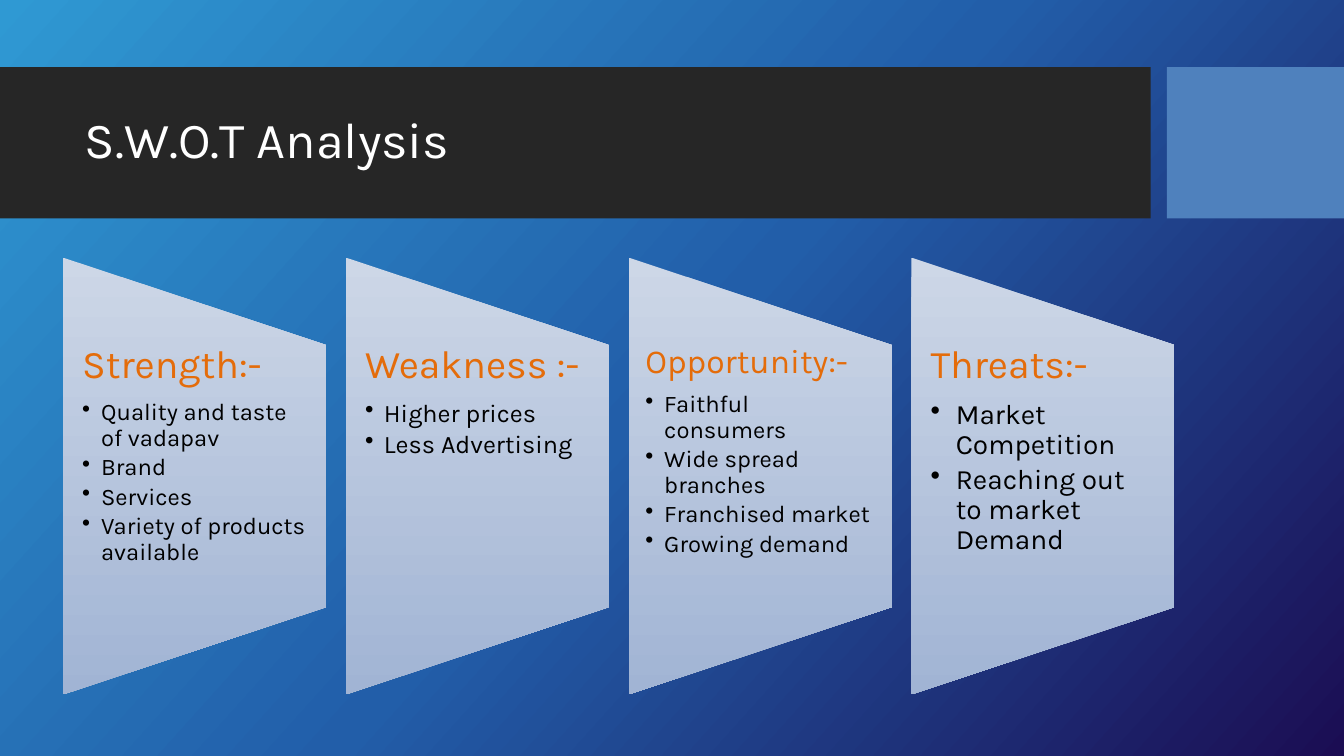
from dataclasses import dataclass

from lxml import etree
from pptx import Presentation
from pptx.dml.color import RGBColor
from pptx.dml.fill import FillFormat
from pptx.enum.shapes import MSO_SHAPE
from pptx.enum.text import MSO_ANCHOR
from pptx.oxml.ns import qn
from pptx.slide import Slide
from pptx.text.text import TextFrame
from pptx.util import Pt

FONT = "Karla"
WHITE, BLACK, ORANGE = "FFFFFF", "000000", "E46C0A"
LINE_SPACING = 0.9

PANEL_LEFT, PANEL_PITCH, PANEL_WIDTH = 45, 202, 188
PANEL_HEIGHT, PANEL_MIDDLE = 312, 340
TEXT_TOP, TEXT_HEIGHT = 246, 187


@dataclass(frozen=True)
class Panel:
    heading: str
    points: tuple[str, ...]
    heading_size: float = 28
    point_size: float = 17
    inset: float = 13.75
    indent: float = 13.5


PANELS = (
    Panel("Strength:-", ("Quality and taste of vadapav", "Brand", "Services",
                         "Variety of products available")),
    Panel("Weakness :-", ("Higher prices", "Less Advertising"), point_size=18),
    Panel("Opportunity:-", ("Faithful consumers", "Wide spread branches",
                            "Franchised market", "Growing demand"),
          heading_size=24, inset=12),
    Panel("Threats:-", ("Market Competition", "Reaching out to market Demand"),
          point_size=20, indent=18),
)


def color(value: str) -> RGBColor:
    return RGBColor.from_string(value)


def fill_gradient(fill: FillFormat, owner: etree._Element,
                  stops: dict[int, str], angle: float) -> None:
    """Fill with stops (percent to colour) along a clockwise angle fixed to the slide."""
    fill.gradient()
    fill.gradient_angle = 360 - angle
    gradient = next(owner.iter(qn("a:gradFill")))
    gradient.set("rotWithShape", "0")
    stop_list = gradient.find(qn("a:gsLst"))
    for old_stop in list(stop_list):
        stop_list.remove(old_stop)
    for percent, value in stops.items():
        stop = etree.SubElement(stop_list, qn("a:gs"), pos=str(percent * 1000))
        etree.SubElement(stop, qn("a:srgbClr"), val=value)


def add_plain_shape(slide: Slide, kind: MSO_SHAPE, left: float, top: float,
                    width: float, height: float, fill: str | None = None):
    shape = slide.shapes.add_shape(kind, Pt(left), Pt(top), Pt(width), Pt(height))
    shape.shadow.inherit = False
    shape.line.fill.background()
    if fill:
        shape.fill.solid()
        shape.fill.fore_color.rgb = color(fill)
    return shape


def add_text_box(slide: Slide, left: float, top: float, width: float, height: float,
                 *, inset: float, inset_y: float = 0,
                 anchor: MSO_ANCHOR = MSO_ANCHOR.TOP) -> TextFrame:
    box = slide.shapes.add_textbox(Pt(left), Pt(top), Pt(width), Pt(height))
    frame = box.text_frame
    frame.word_wrap = True
    frame.vertical_anchor = anchor
    frame.margin_left = frame.margin_right = Pt(inset)
    frame.margin_top = frame.margin_bottom = Pt(inset_y)
    return frame


def write(frame: TextFrame, text: str, *, size: float, fill: str,
          space_after: float = 0, indent: float = 0) -> None:
    """Add a paragraph; an indent makes it a bullet."""
    first = frame.paragraphs[0]
    paragraph = frame.add_paragraph() if first.runs else first
    if indent:
        paragraph.level = 1
        properties = paragraph._p.get_or_add_pPr()
        properties.set("marL", str(Pt(indent)))
        properties.set("indent", str(-Pt(indent)))
        etree.SubElement(properties, qn("a:buChar"), char="•")
    paragraph.line_spacing = LINE_SPACING
    paragraph.space_after = Pt(space_after)
    run = paragraph.add_run()
    run.text = text
    run.font.name = FONT
    run.font.size = Pt(size)
    run.font.color.rgb = color(fill)


def add_panel(slide: Slide, panel: Panel, left: float) -> None:
    shape = add_plain_shape(
        slide, MSO_SHAPE.FLOWCHART_MANUAL_OPERATION,
        left + (PANEL_WIDTH - PANEL_HEIGHT) / 2, PANEL_MIDDLE - PANEL_WIDTH / 2,
        PANEL_HEIGHT, PANEL_WIDTH)
    shape.rotation = 270
    fill_gradient(shape.fill, shape.element, {0: "CDD7E7", 100: "A1B4D4"}, 90)

    frame = add_text_box(slide, left, TEXT_TOP, PANEL_WIDTH, TEXT_HEIGHT,
                         inset=panel.inset)
    write(frame, panel.heading, size=panel.heading_size, fill=ORANGE,
          space_after=0.35 * panel.heading_size)
    for point in panel.points:
        write(frame, point, size=panel.point_size, fill=BLACK,
              space_after=0.15 * panel.point_size, indent=panel.indent)


def main() -> None:
    presentation = Presentation()
    presentation.slide_width, presentation.slide_height = Pt(960), Pt(540)
    slide = presentation.slides.add_slide(presentation.slide_layouts[6])
    fill_gradient(slide.background.fill, slide.element,
                  {0: "2F99D3", 50: "225EA9", 100: "1B0D53"}, 42)

    add_plain_shape(slide, MSO_SHAPE.RECTANGLE, 0, 48, 822, 108, "262626")
    add_plain_shape(slide, MSO_SHAPE.RECTANGLE, 833.5, 48, 126.5, 108, "4F81BD")
    title = add_text_box(slide, 53.5, 59, 757, 85, inset=7.2, inset_y=3.6,
                         anchor=MSO_ANCHOR.MIDDLE)
    write(title, "S.W.O.T Analysis", size=36, fill=WHITE)

    for index, panel in enumerate(PANELS):
        add_panel(slide, panel, PANEL_LEFT + index * PANEL_PITCH)

    presentation.save("out.pptx")


if __name__ == "__main__":
    main()
